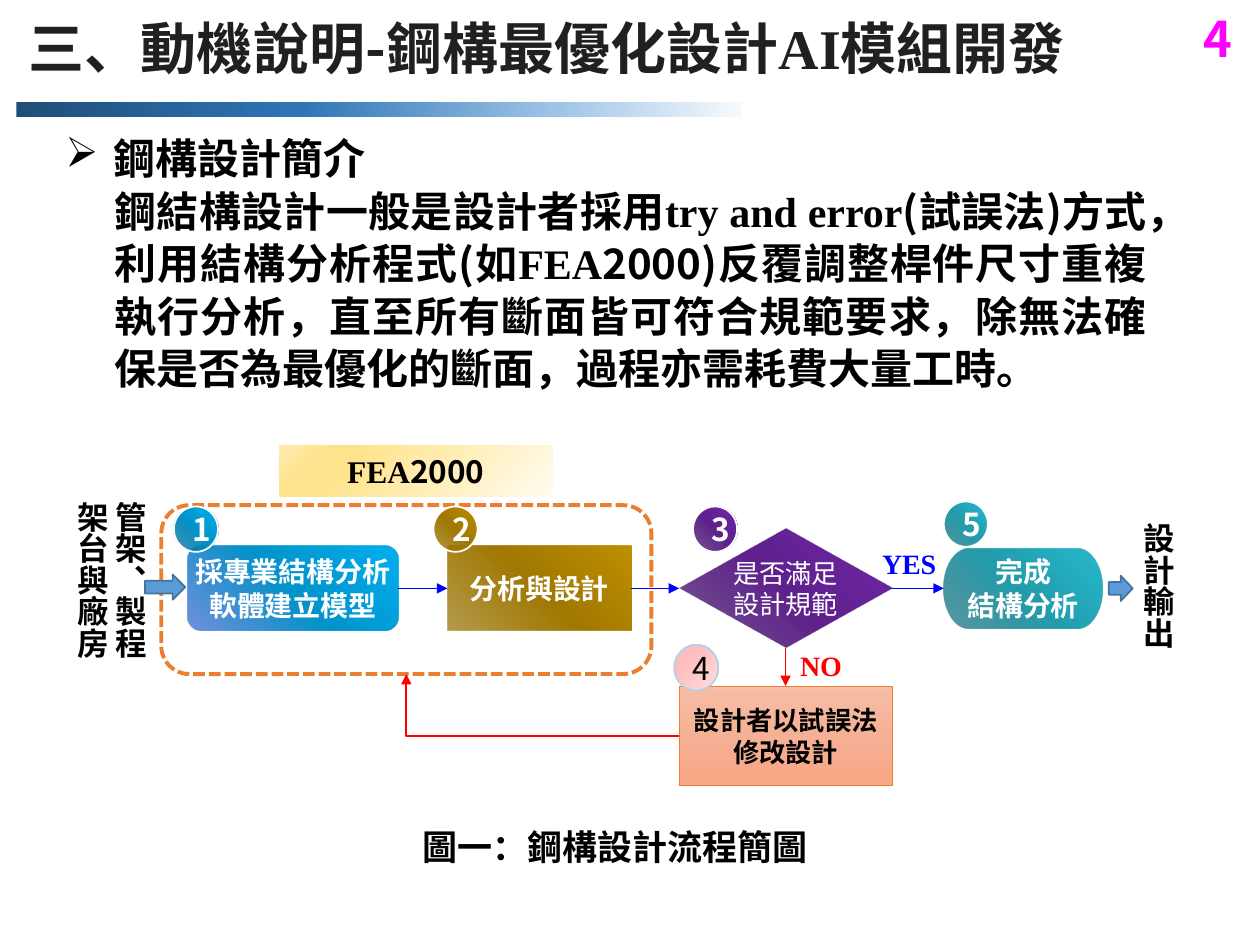
from lxml import etree
from pptx import Presentation, util as u
from pptx.dml.color import RGBColor
from pptx.enum import dml, shapes, text
from pptx.oxml import ns

# The slide is a grid of 100 columns by 75 rows
COLS, ROWS = 100, 75
W, H = u.Inches(10), u.Inches(7.5)
CJK, LATIN = "Noto Sans CJK SC", "Times New Roman"
AXIS = 46.7  # row on which the flow runs
A, M = text.PP_ALIGN, shapes.MSO_SHAPE
BOLD = dict(size=16, color="000000", bold=True)
TIGHT = (0.04,) * 4

BLUE = [(0, "00688E", 70), (50, "0094CA"), (100, "00B0F0")]
PALE_BLUE = [(0, "3366CC", 70)] + BLUE[1:]
GOLD = [(0, "977200", 70), (50, "A17900"), (100, "BF9000")]
PURPLE = [(0, "431764", 70), (50, "5F218E"), (100, "7128A8")]
TEAL = [(0, "186E7A", 70), (50, "229DAD"), (100, "28BACE")]
PINK = [(0, "FFA0A0", 70), (50, "FFC5C5"), (100, "FFE3E3")]
ORANGE = [(0, "F7BDA5"), (50, "F5B196"), (100, "F8A582")]
YELLOW = [(0, "FFFCF2"), (74, "FFE38C"), (83, "FFE38C"), (100, "FFECB2")]
BAR = [(0, "1F4E79"), (39, "2E75B6"), (74, "9DC3E6"), (100, "F7FAFD"), (100, "BDD7EE")]


def rgb(code):
    return RGBColor.from_string(code)


def grid(*at):
    """Turn left, top, width, height in columns and rows into lengths."""
    return [round(v * side / n) for v, side, n in zip(at, (W, H, W, H), (COLS, ROWS) * 2)]


def sub(parent, tag, **attrs):
    return etree.SubElement(parent, ns.qn(tag), {k: str(v) for k, v in attrs.items()})


def gradient(s, stops, angle=None):
    """Linear fill at an angle, or radial from the bottom right corner without one."""
    s.fill.gradient()
    g = s.fill._xPr.find(ns.qn("a:gradFill"))
    for child in list(g):
        g.remove(child)
    lst = sub(g, "a:gsLst")
    for pos, code, *alpha in stops:
        c = sub(sub(lst, "a:gs", pos=pos * 1000), "a:srgbClr", val=code)
        for a in alpha:
            sub(c, "a:alpha", val=a * 1000)
    if angle is None:
        sub(sub(g, "a:path", path="circle"), "a:fillToRect", l=100000, t=100000)
    else:
        sub(g, "a:lin", ang=angle * 60000, scaled=0)


def add_runs(p, runs, size, color, bold=False):
    """Runs are plain strings in the CJK font or (string, font) pairs."""
    for item in runs:
        words, font = (item, CJK) if isinstance(item, str) else item
        r = p.add_run()
        r.text = words
        for key, value in dict(size=u.Pt(size), bold=bold, name=font).items():
            setattr(r.font, key, value)
        r.font.color.rgb = rgb(color)
        r.font._element.find(ns.qn("a:latin")).addnext(
            r.font._element.makeelement(ns.qn("a:ea"), {"typeface": CJK}))


def write(s, paragraphs, fmt, align=A.LEFT, insets=(0.1, 0.05, 0.1, 0.05),
          anchor=text.MSO_ANCHOR.TOP, grow=False, vertical=False):
    tf = s.text_frame
    size = text.MSO_AUTO_SIZE
    frame = dict(word_wrap=True, vertical_anchor=anchor,
                 auto_size=size.SHAPE_TO_FIT_TEXT if grow else size.NONE)
    sides = ("left", "top", "right", "bottom")
    frame.update({f"margin_{k}": u.Inches(v) for k, v in zip(sides, insets)})
    for key, value in frame.items():
        setattr(tf, key, value)
    if vertical:
        tf._txBody.bodyPr.set("vert", "eaVert")
    for i, runs in enumerate(paragraphs):
        p = tf.add_paragraph() if i else tf.paragraphs[0]
        p.alignment = align
        add_runs(p, runs, **fmt)
    return tf


def add_text(slide, at, paragraphs, fmt, grow=True, **options):
    s = slide.shapes.add_textbox(*grid(*at))
    return write(s, paragraphs, fmt, grow=grow, **options)


def add_shape(slide, kind, at, stops=None, angle=315, solid=None, line=None, width=1):
    s = slide.shapes.add_shape(kind, *grid(*at))
    s.shadow.inherit = False
    if stops:
        gradient(s, stops, angle)
    elif solid:
        s.fill.solid()
        s.fill.fore_color.rgb = rgb(solid)
    else:
        s.fill.background()
    if line:
        s.line.color.rgb = rgb(line)
        s.line.width = u.Pt(width)
    else:
        s.line.fill.background()
    return s


def add_label(s, paragraphs, fmt, **options):
    write(s, paragraphs, fmt, align=A.CENTER, anchor=text.MSO_ANCHOR.MIDDLE, **options)


def add_arrow(slide, start, start_side, end, end_side, color, bent=False):
    kind = shapes.MSO_CONNECTOR
    c = slide.shapes.add_connector(kind.ELBOW if bent else kind.STRAIGHT, 0, 0, 0, 0)
    c.begin_connect(start, start_side)
    c.end_connect(end, end_side)
    c.line.color.rgb = rgb(color)
    c.line.width = u.Pt(1)
    sub(c.line._get_or_add_ln(), "a:tailEnd", type="triangle")
    sub(c._element.spPr, "a:effectLst")
    if bent:
        c._element.spPr.find(ns.qn("a:prstGeom")).set("prst", "bentConnector2")


def add_heading(slide):
    add_text(slide, (78, 0.5, 20.8, 5), [["4"]], dict(size=28, color="FF00FF", bold=True),
             grow=False, align=A.RIGHT, anchor=text.MSO_ANCHOR.MIDDLE)
    add_text(slide, (2.3, 1.1, 88.5, 5.4),
             [["三、動機說明-鋼構最優化設計", ("AI", LATIN), "模組開發"]],
             dict(size=32, color="202020", bold=True), insets=(0,) * 4)
    add_shape(slide, M.RECTANGLE, (1.3, 8.1, 57.6, 1.2), BAR, 0)


def add_intro(slide):
    tf = add_text(slide, (4.2, 9.6, 87.8, 22.3), [
        ["鋼構設計簡介"],
        ["鋼結構設計一般是設計者採用", ("try and error", LATIN),
         "(試誤法)方式，利用結構分析程式(如", ("FEA", LATIN),
         "2000)反覆調整桿件尺寸重複執行分析，直至所有斷面皆可符合規範要求，"
         "除無法確保是否為最優化的斷面，過程亦需耗費大量工時。"],
    ], dict(BOLD, size=24), align=A.JUSTIFY)
    head, body = tf.paragraphs
    for p, left, hang, spacing in ((head, 0.38, -0.38, 32), (body, 0.39, 0, 30)):
        pPr = p._p.get_or_add_pPr()
        pPr.set("marL", str(u.Inches(left)))
        pPr.set("indent", str(u.Inches(hang)))
        p.line_spacing = u.Pt(spacing)
    body.level = 1
    sub(head._p.pPr, "a:buChar", char="➢")


def add_flow(slide):
    white = dict(BOLD, color="FFFFFF")
    none, thin = (0,) * 4, (0.02,) * 4

    def step(kind, left, width, height, stops, paragraphs, fmt=white, mid=AXIS,
             angle=315, line=None, **options):
        s = add_shape(slide, kind, (left, mid - height / 2, width, height),
                      stops, angle, line=line, width=0.5)
        add_label(s, paragraphs, fmt, **options)
        return s

    # Input, steps and output
    add_text(slide, (5.3, 39.4, 6.9, 13.6), [["管架、製程架台與廠房"]], dict(BOLD, size=18),
             align=A.CENTER, insets=TIGHT, vertical=True)
    model = step(M.ROUNDED_RECTANGLE, 14.9, 16.7, 6.7, PALE_BLUE,
                 [["採專業結構分析軟體建立模型"]], insets=none)
    design = step(M.FLOWCHART_PROCESS, 35.5, 14.6, 6.7, GOLD, [["分析與設計"]])
    check = step(M.FLOWCHART_DECISION, 53.9, 16.9, 9.4, PURPLE, [["是否滿足設計規範"]],
                 dict(size=15, color="FFFFFF"), insets=none)
    done = step(M.FLOWCHART_TERMINATOR, 74.9, 12.6, 6.3, TEAL, [["完成"], ["結構分析"]])
    revise = step(M.FLOWCHART_PROCESS, 53.9, 16.9, 7.9, ORANGE, [["設計者以試誤法修改設計"]],
                  dict(BOLD, size=15), mid=58.4, angle=90, line="ED7D31", insets=thin)
    add_text(slide, (90, 41.1, 3.8, 11.4), [["設計輸出"]], dict(BOLD, size=18),
             insets=TIGHT, vertical=True)

    # Frame around the software steps, with its name
    frame = add_shape(slide, M.ROUNDED_RECTANGLE, (12.8, 40.1, 38.9, 13.4),
                      line="ED7D31", width=2.25)
    frame.line.dash_style = dml.MSO_LINE.SQUARE_DOT
    name = add_shape(slide, M.RECTANGLE, (22, 35.2, 22, 4.4), YELLOW, None,
                     line="FFFFFF", width=2)
    add_label(name, [[("FEA", LATIN), "2000"]], dict(BOLD, size=18))

    # Connectors
    for a, b in ((model, design), (design, check), (check, done)):
        add_arrow(slide, a, 3, b, 1, "0000FF")
    add_arrow(slide, check, 2, revise, 0, "FF0000")
    add_arrow(slide, revise, 1, frame, 2, "FF0000", bent=True)
    for at in ((11.5, 45.6, 3.2, 2), (88, 45.7, 1.9, 2)):
        add_shape(slide, M.RIGHT_ARROW, at, solid="5B9BD5", line="43739E")

    # Step numbers
    badge = dict(white, size=18)
    plain = dict(size=18, color="000000")
    for n, (left, top, stops, angle, line, fmt) in enumerate((
            (13.8, 40.2, BLUE, 315, "FFFFFF", badge),
            (34.4, 40.2, GOLD, 315, "FFFFFF", badge),
            (55, 40.2, PURPLE, 315, "FFFFFF", badge),
            (53.5, 51.2, PINK, 45, "B5D2EC", plain),
            (74.9, 39.8, TEAL, 315, "FFFFFF", badge)), 1):
        s = add_shape(slide, M.OVAL, (left, top, 3.5, 3.6), stops, angle, line=line)
        add_label(s, [[str(n)]], fmt)

    # Branch labels and caption
    for at, word, color in (((63.1, 51.1, 5.1, 3.5), "NO", "FF0000"),
                            ((69.6, 43, 5.5, 3.5), "YES", "0000FF")):
        add_text(slide, at, [[(word, LATIN)]], dict(BOLD, color=color), insets=TIGHT)
    add_text(slide, (33.1, 65.1, 32, 4.2), [["圖一：鋼構設計流程簡圖"]],
             dict(BOLD, size=20), insets=TIGHT)


def main():
    prs = Presentation()
    prs.slide_width, prs.slide_height = W, H
    slide = prs.slides.add_slide(prs.slide_layouts[6])
    add_heading(slide)
    add_intro(slide)
    add_flow(slide)
    prs.save("out.pptx")


if __name__ == "__main__":
    main()
